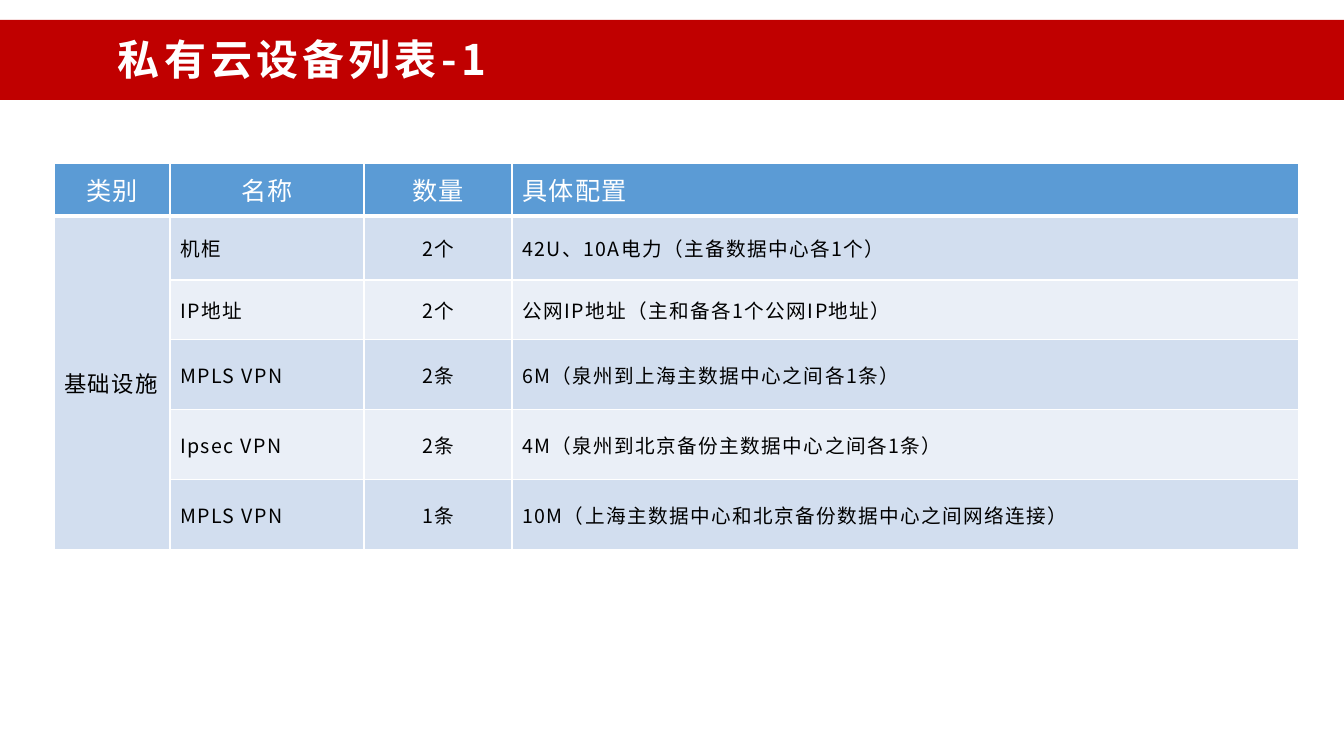
"""Build the private cloud equipment list slide."""
from lxml import etree
from pptx import Presentation
from pptx import util as u
from pptx.dml.color import RGBColor
from pptx.enum import shapes, text
from pptx.oxml import ns

TITLE = "私有云设备列表-1"
HEADERS = ["类别", "名称", "数量", "具体配置"]
CATEGORY = "基础设施"
DEVICES = [
    ("机柜", "2个", "42U、10A电力（主备数据中心各1个）"),
    ("IP地址", "2个", "公网IP地址（主和备各1个公网IP地址）"),
    ("MPLS VPN", "2条", "6M（泉州到上海主数据中心之间各1条）"),
    ("Ipsec VPN", "2条", "4M（泉州到北京备份主数据中心之间各1条）"),
    ("MPLS VPN", "1条", "10M（上海主数据中心和北京备份数据中心之间网络连接）"),
]

SLIDE_SIZE = (1344, 756)
BANNER = (0, 20, 1344, 80)
TITLE_BOX = (108, 29, 400, 61)
TABLE_CORNER = (54, 163)
COLUMN_WIDTHS = [116, 194, 148, 787]
ROW_HEIGHTS = [53, 64, 60, 70, 70, 70]

FONT = "Noto Sans CJK SC"
RED = RGBColor(0xC0, 0x00, 0x00)
WHITE = RGBColor(0xFF, 0xFF, 0xFF)
BLACK = RGBColor(0x00, 0x00, 0x00)
HEADER_BLUE = RGBColor(0x5B, 0x9B, 0xD5)
BANDS = [RGBColor(0xD2, 0xDE, 0xEF), RGBColor(0xEA, 0xEF, 0xF7)]
LEFT, CENTER = text.PP_ALIGN.LEFT, text.PP_ALIGN.CENTER


def px(length):
    return round(length * 914400 / 100.8)


def write(frame, words, size, color=BLACK, bold=False, align=LEFT, spacing=1):
    para = frame.paragraphs[0]
    para.alignment = align
    span = para.add_run()
    span.text = words
    font = span.font
    font.size, font.bold, font.name = u.Pt(size), bold, FONT
    font.color.rgb = color
    properties = font._element
    properties.set("spc", str(spacing * 100))
    etree.SubElement(properties, ns.qn("a:ea"), typeface=FONT)


def add_borders(cell, **widths):
    properties = cell._tc.get_or_add_tcPr()
    for side in "LRTB":
        line = etree.SubElement(properties, ns.qn(f"a:ln{side}"), w=str(u.Pt(widths.get(side, 1))))
        fill = etree.SubElement(line, ns.qn("a:solidFill"))
        etree.SubElement(fill, ns.qn("a:srgbClr"), val=str(WHITE))


def add_banner(page):
    banner = page.shapes.add_shape(shapes.MSO_SHAPE.RECTANGLE, *map(px, BANNER))
    banner.shadow.inherit = False
    banner.fill.solid()
    banner.fill.fore_color.rgb = RED
    banner.line.fill.background()
    box = page.shapes.add_textbox(*map(px, TITLE_BOX))
    box.text_frame.word_wrap = False
    box.text_frame.auto_size = text.MSO_AUTO_SIZE.SHAPE_TO_FIT_TEXT
    write(box.text_frame, TITLE, 30, color=WHITE, bold=True, spacing=3)


def add_device_table(page):
    rows = [HEADERS] + [(CATEGORY if i == 0 else "", *device) for i, device in enumerate(DEVICES)]
    frame = page.shapes.add_table(
        len(rows), len(HEADERS), *map(px, TABLE_CORNER),
        px(sum(COLUMN_WIDTHS)), px(sum(ROW_HEIGHTS)))
    table = frame.table
    table.first_row = table.horz_banding = False
    for column, width in zip(table.columns, COLUMN_WIDTHS):
        column.width = px(width)
    for row, height in zip(table.rows, ROW_HEIGHTS):
        row.height = px(height)

    for r, row in enumerate(rows):
        for c, words in enumerate(row):
            cell = table.cell(r, c)
            cell.vertical_anchor = text.MSO_ANCHOR.MIDDLE
            add_borders(cell, T=3 if r == 1 else 1, B=3 if r == 0 else 1)
            cell.fill.solid()
            if r == 0:
                cell.fill.fore_color.rgb = HEADER_BLUE
                write(cell.text_frame, words, 18, color=WHITE, align=CENTER if c < 3 else LEFT)
                continue
            cell.fill.fore_color.rgb = BANDS[0] if c == 0 else BANDS[(r - 1) % 2]
            if words:
                write(cell.text_frame, words, 16 if c == 0 else 14, align=CENTER if c == 2 else LEFT)
    table.cell(1, 0).merge(table.cell(len(DEVICES), 0))


def main():
    deck = Presentation()
    deck.slide_width, deck.slide_height = map(px, SLIDE_SIZE)
    page = deck.slides.add_slide(deck.slide_layouts[6])
    add_banner(page)
    add_device_table(page)
    deck.save("out.pptx")


if __name__ == "__main__":
    main()
